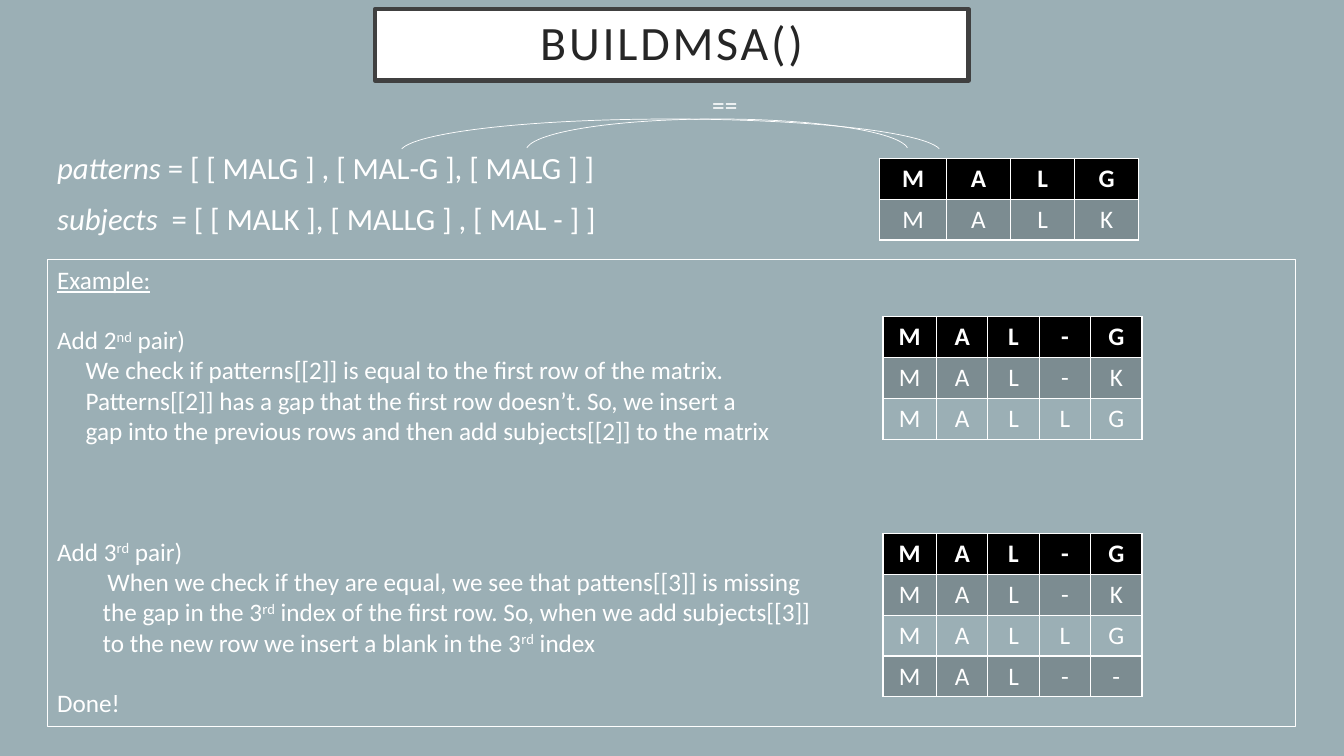
from dataclasses import dataclass

from lxml import etree
from pptx import Presentation
from pptx.dml.color import RGBColor
from pptx.enum.shapes import MSO_SHAPE
from pptx.enum.text import MSO_ANCHOR, PP_ALIGN
from pptx.oxml.ns import qn
from pptx.util import Cm, Pt

RECTANGLE, ARC = MSO_SHAPE.RECTANGLE, MSO_SHAPE.ARC
LEFT, CENTER = PP_ALIGN.LEFT, PP_ALIGN.CENTER
TOP, MIDDLE = MSO_ANCHOR.TOP, MSO_ANCHOR.MIDDLE


@dataclass(frozen=True)
class Theme:
    font: str = "Calibri"
    background: str = "9BAFB5"
    white: str = "FFFFFF"
    title_text: str = "262626"
    title_border: str = "404040"
    header: str = "000000"
    band: str = "7C8C91"
    title_size: float = 34.2
    list_size: float = 22
    body_size: float = 18
    line_gap: float = 21.6


THEME = Theme()


def color(value):
    return RGBColor.from_string(value)


def cm_box(box):
    return [Cm(length) for length in box]


def add_run(paragraph, text, size=THEME.body_size, ink=THEME.white, style=""):
    """Style is empty or one of bold, italic, underline, superscript."""
    run = paragraph.add_run()
    run.text = text
    font = run.font
    font.name, font.size = THEME.font, Pt(size)
    font.color.rgb = color(ink)
    font.bold = style == "bold"
    font.italic = style == "italic"
    font.underline = style == "underline"
    if style == "superscript":
        run._r.get_or_add_rPr().set("baseline", "30000")
    return run


def add_outline(slide, kind, box, line, width, fill=None):
    shape = slide.shapes.add_shape(kind, *cm_box(box))
    shape.shadow.inherit = False
    if fill:
        shape.fill.solid()
        shape.fill.fore_color.rgb = color(fill)
    else:
        shape.fill.background()
    shape.line.color.rgb = color(line)
    shape.line.width = Pt(width)
    return shape


def add_text_box(slide, box):
    frame = slide.shapes.add_textbox(*cm_box(box)).text_frame
    frame.word_wrap = True
    return frame


def add_title(slide, box, text):
    shape = add_outline(slide, RECTANGLE, box, THEME.title_border, 3, THEME.white)
    frame = shape.text_frame
    frame.vertical_anchor = MIDDLE
    frame.margin_left = frame.margin_right = Cm(0.76)
    frame.margin_top = frame.margin_bottom = Cm(0.51)
    paragraph = frame.paragraphs[0]
    paragraph.alignment = CENTER
    paragraph.line_spacing = 0.9
    run = add_run(paragraph, text, THEME.title_size, THEME.title_text)
    run._r.get_or_add_rPr().set("spc", "200")


def add_lists(slide, box, lists):
    frame = add_text_box(slide, box)
    for index, (name, values) in enumerate(lists):
        paragraph = frame.add_paragraph() if index else frame.paragraphs[0]
        paragraph.space_before = Pt(10 if index else 0)
        add_run(paragraph, name, THEME.list_size, style="italic")
        add_run(paragraph, values, THEME.list_size)


def add_comparison(slide, box, label):
    """Two arcs that share their top edge, under a label."""
    left, top, width, height = box
    for inset, arc_width, arc_height in ((3.18, 9.63, 1.6), (0, width, height)):
        arc_box = (left + inset, top, arc_width, arc_height)
        arc = add_outline(slide, ARC, arc_box, THEME.white, 0.5)
        arc.adjustments[0], arc.adjustments[1] = 108.495, 215.48
    frame = add_text_box(slide, (left + 7.62, top - 0.87, 4.47, 1.02))
    add_run(frame.paragraphs[0], label)


def add_example(slide, box, steps):
    """Each step: blank lines above, indent, first-line shift, styled runs."""
    frame = add_outline(slide, RECTANGLE, box, THEME.white, 0.75).text_frame
    frame.word_wrap = True
    frame.vertical_anchor = TOP
    for index, (gap, indent, shift, runs) in enumerate(steps):
        paragraph = frame.add_paragraph() if index else frame.paragraphs[0]
        paragraph.alignment = LEFT
        paragraph.space_before = Pt(gap * THEME.line_gap)
        properties = paragraph._p.get_or_add_pPr()
        properties.set("marL", str(Cm(indent)))
        properties.set("indent", str(Cm(shift)))
        for text, style in runs:
            add_run(paragraph, text, style=style)


def add_borders(cell):
    properties = cell._tc.get_or_add_tcPr()
    for side in ("lnL", "lnR", "lnT", "lnB"):
        line = etree.SubElement(properties, qn(f"a:{side}"), w=str(Pt(1)))
        fill = etree.SubElement(line, qn("a:solidFill"))
        etree.SubElement(fill, qn("a:srgbClr"), val=THEME.white)


def add_alignment(slide, box, first_width, rows):
    """A table with one letter per cell; the first row is the header."""
    left, top, width, row_height = box
    count = len(rows[0])
    table = slide.shapes.add_table(
        len(rows), count, *cm_box((left, top, width, row_height * len(rows)))).table
    table.first_row = table.horz_banding = False
    for index, column in enumerate(table.columns):
        column.width = Cm((width - first_width) / (count - 1) if index else first_width)
    for row_index, letters in enumerate(rows):
        table.rows[row_index].height = Cm(row_height)
        band = THEME.band if row_index % 2 else THEME.background
        for column_index, letter in enumerate(letters):
            cell = table.cell(row_index, column_index)
            add_borders(cell)
            cell.fill.solid()
            cell.fill.fore_color.rgb = color(band if row_index else THEME.header)
            paragraph = cell.text_frame.paragraphs[0]
            paragraph.alignment = CENTER
            add_run(paragraph, letter, style="" if row_index else "bold")


LISTS = [
    ("patterns", " = [ [ MALG ] , [ MAL-G ], [ MALG ] ]"),
    ("subjects ", " = [ [ MALK ], [ MALLG ] , [ MAL - ] ]"),
]
ND, RD = ("nd", "superscript"), ("rd", "superscript")
STEPS = [
    (0, 0, 0, [("Example:", "underline")]),
    (1, 0, 0, [("Add 2", ""), ND, (" pair)", "")]),
    (0, 0.72, 0, [("We check if patterns[[2]] is equal to the first row of the matrix.", "")]),
    (0, 0.72, 0, [("Patterns[[2]] has a gap that the first row doesn’t. So, we insert a", "")]),
    (0, 0.72, 0, [("gap into the previous rows and then add subjects[[2]] to the matrix", "")]),
    (3, 0, 0, [("Add 3", ""), RD, (" pair)", "")]),
    (0, 1.15, 0.12, [("When we check if they are equal, we see that pattens[[3]] is missing", "")]),
    (0, 1.15, 0, [("the gap in the 3", ""), RD,
                  (" index of the first row. So, when we add subjects[[3]]", "")]),
    (0, 1.15, 0, [("to the new row we insert a blank in the 3", ""), RD, (" index", "")]),
    (1, 0, 0, [("Done!", "")]),
]
SECOND_PAIR = ["MAL-G", "MAL-K", "MALLG"]


def build_slide(presentation):
    slide = presentation.slides.add_slide(presentation.slide_layouts[6])
    slide.background.fill.solid()
    slide.background.fill.fore_color.rgb = color(THEME.background)
    # Title and the two input lists
    add_title(slide, (9.45, 0.23, 14.96, 1.8), "BUILDMSA()")
    add_lists(slide, (1.19, 3.63, 15.75, 3.18), LISTS)
    # Worked example and the comparison above it
    add_example(slide, (1.19, 6.53, 31.47, 11.79), STEPS)
    add_comparison(slide, (10.08, 3, 13.64, 1.7), "==")
    # Alignment after each pair
    add_alignment(slide, (22.17, 3.99, 6.53, 1.03), 1.68, ["MALG", "MALK"])
    add_alignment(slide, (22.25, 7.98, 6.53, 1.03), 1.35, SECOND_PAIR)
    add_alignment(slide, (22.25, 13.44, 6.53, 1.03), 1.35, SECOND_PAIR + ["MAL--"])


def main():
    presentation = Presentation()
    presentation.slide_width, presentation.slide_height = Cm(33.87), Cm(19.05)
    build_slide(presentation)
    presentation.save("out.pptx")


if __name__ == "__main__":
    main()
